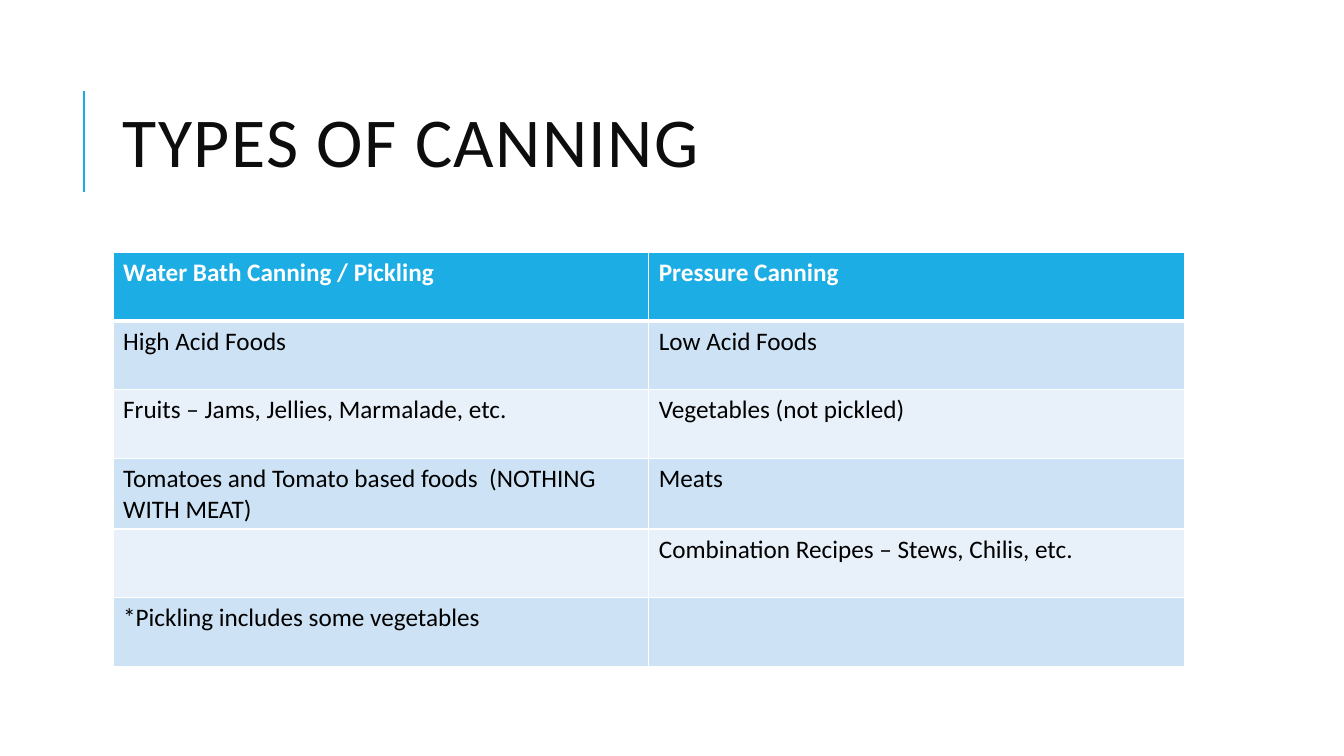
import lxml.etree
import pptx
import pptx.dml.color
import pptx.enum.shapes
import pptx.enum.text
import pptx.oxml.ns
import pptx.util

Cm = pptx.util.Cm
Pt = pptx.util.Pt
qn = pptx.oxml.ns.qn

ACCENT = "1CADE4"
WHITE = "FFFFFF"
BANDS = ("E8F1FA", "CDE3F5")
TITLE_FORMAT = {"name": "Calibri", "size": Pt(50), "bold": False}
HEADER_FORMAT = {"name": "Calibri", "size": Pt(18), "bold": True}
BODY_FORMAT = {"name": "Calibri", "size": Pt(18), "bold": False}
CANNING_ROWS = [
    ("Water Bath Canning / Pickling", "Pressure Canning"),
    ("High Acid Foods", "Low Acid Foods"),
    ("Fruits – Jams, Jellies, Marmalade, etc.", "Vegetables (not pickled)"),
    ("Tomatoes and Tomato based foods  (NOTHING WITH MEAT)", "Meats"),
    ("", "Combination Recipes – Stews, Chilis, etc."),
    ("*Pickling includes some vegetables", ""),
]


def color(hex_string):
    """Return the RGB colour for a hex string."""
    return pptx.dml.color.RGBColor.from_string(hex_string)


def add_span(para, text, font_format, hex_string):
    """Add a formatted run to a paragraph and return it."""
    span = para.add_run()
    span.text = text
    for name, value in font_format.items():
        setattr(span.font, name, value)
    span.font.color.rgb = color(hex_string)
    return span


def add_title(page, left, top, width, height):
    """Place the title and the accent rule to its left."""
    rule_left = left - Cm(0.74)
    rule = page.shapes.add_connector(
        pptx.enum.shapes.MSO_CONNECTOR.STRAIGHT,
        rule_left, top + Cm(3.2), rule_left, top + Cm(0.66))
    rule.line.color.rgb = color(ACCENT)
    rule.line.width = Pt(1.5)
    lxml.etree.SubElement(rule._element.spPr, qn("a:effectLst"))

    box = page.shapes.add_textbox(left, top, width, height)
    frame = box.text_frame
    frame.word_wrap = True
    frame.vertical_anchor = pptx.enum.text.MSO_ANCHOR.MIDDLE
    para = frame.paragraphs[0]
    para.line_spacing = 0.8
    span = add_span(para, "TYPES OF CANNING", TITLE_FORMAT, "0D0D0D")
    span.font._element.set("spc", "100")


def set_borders(cell, widths):
    """Draw white borders on a cell, with a width for each side."""
    properties = cell._tc.get_or_add_tcPr()
    for side, width in widths.items():
        line = lxml.etree.SubElement(properties, qn(f"a:ln{side}"), w=str(Pt(width)))
        fill = lxml.etree.SubElement(line, qn("a:solidFill"))
        lxml.etree.SubElement(fill, qn("a:srgbClr"), val=WHITE)


def add_canning_table(page, left, top, width, height):
    """Place the banded table that compares the canning types."""
    row_count, column_count = len(CANNING_ROWS), len(CANNING_ROWS[0])
    table = page.shapes.add_table(
        row_count, column_count, left, top, width, height).table
    for row_index, texts in enumerate(CANNING_ROWS):
        is_header = row_index == 0
        font_format = HEADER_FORMAT if is_header else BODY_FORMAT
        widths = {"L": 1, "R": 1, "T": 3 if row_index == 1 else 1,
                  "B": 3 if is_header else 1}
        for column_index, text in enumerate(texts):
            cell = table.cell(row_index, column_index)
            set_borders(cell, widths)
            cell.fill.solid()
            cell.fill.fore_color.rgb = color(ACCENT if is_header else BANDS[row_index % 2])
            if text:
                add_span(cell.text_frame.paragraphs[0], text, font_format,
                         WHITE if is_header else "000000")


def main():
    """Build and save the deck."""
    deck = pptx.Presentation()
    deck.slide_width, deck.slide_height = Cm(33.87), Cm(19.05)
    page = deck.slides.add_slide(deck.slide_layouts[6])
    left, width = Cm(2.85), Cm(27)
    add_title(page, left, Cm(1.63), width, Cm(4.17))
    add_canning_table(page, left, Cm(6.36), width, Cm(10.38))
    deck.save("out.pptx")


if __name__ == "__main__":
    main()
